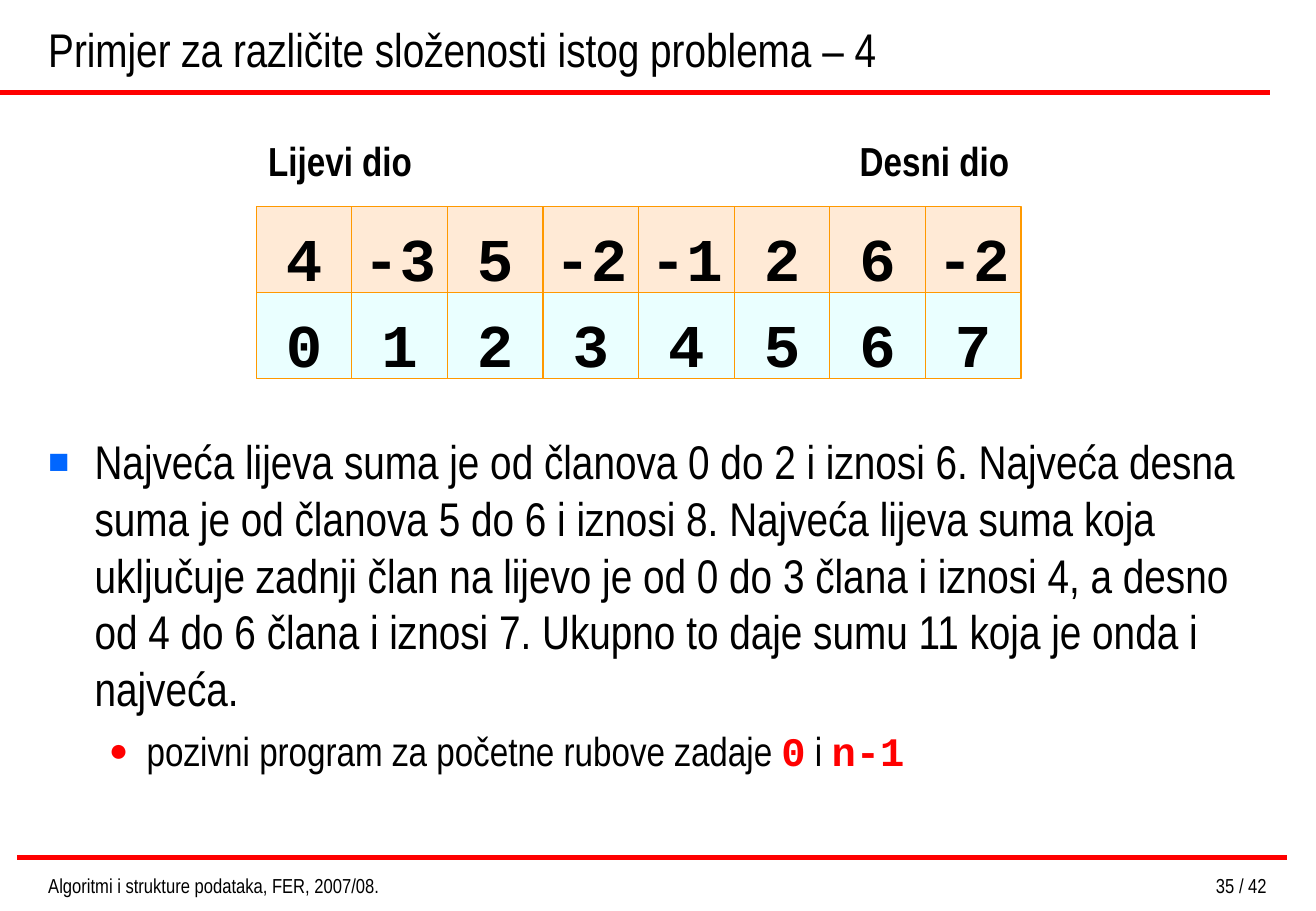
"""Builds the slide on the left and right sums of an array."""
from lxml.etree import SubElement
from pptx import Presentation
from pptx.dml.color import RGBColor
from pptx.enum.shapes import MSO_CONNECTOR as Connector, MSO_SHAPE as Shape
from pptx.enum.text import MSO_ANCHOR as Anchor, PP_ALIGN as Align
from pptx.oxml.ns import qn
from pptx.util import Cm, Pt

COLORS = {
    "text": "000000",
    "accent": "FF0000",
    "square_bullet": "0066FF",
    "value_cell": "FFCC99",
    "index_cell": "CCFFFF",
    "cell_border": "FF9900",
}
BODY_FONT = "Arial Narrow"
CODE_FONT = "Courier New"
VALUES = [4, -3, 5, -2, -1, 2, 6, -2]
CELL_WIDTH, CELL_HEIGHT = 2, 1.8
ARRAY_LEFT, ARRAY_TOP = 5.36, 4.32
LABEL_TOP, LABEL_HEIGHT = 2.72, 1.27
FOOTER_TOP, FOOTER_HEIGHT = 18.14, 0.61
SUMS = (
    "Najveća lijeva suma je od članova 0 do 2 i iznosi 6. "
    "Najveća desna suma je od članova 5 do 6 i iznosi 8. "
    "Najveća lijeva suma koja uključuje zadnji član na lijevo je od 0 do 3 člana "
    "i iznosi 4, a desno od 4 do 6 člana i iznosi 7. "
    "Ukupno to daje sumu 11 koja je onda i najveća."
)


def rgb(name):
    return RGBColor.from_string(COLORS[name])


def write(paragraph, text, size=24, font=BODY_FONT, color="text", bold=False, align=Align.LEFT):
    paragraph.alignment = align
    run = paragraph.add_run()
    run.text = text
    run.font.size = Pt(size)
    run.font.name = font
    run.font.bold = bold
    run.font.color.rgb = rgb(color)


def add_frame(slide, left, top, width, height, anchor=Anchor.TOP):
    box = slide.shapes.add_textbox(Cm(left), Cm(top), Cm(width), Cm(height))
    frame = box.text_frame
    frame.word_wrap = True
    frame.vertical_anchor = anchor
    return frame


def add_rule(slide, left, right, y):
    rule = slide.shapes.add_connector(Connector.STRAIGHT, Cm(left), Cm(y), Cm(right), Cm(y))
    rule.line.color.rgb = rgb("accent")
    rule.line.width = Pt(3)
    SubElement(rule._element.spPr, qn("a:effectLst"))


def add_cell(slide, column, row, number, fill):
    cell = slide.shapes.add_shape(
        Shape.RECTANGLE,
        Cm(ARRAY_LEFT + column * CELL_WIDTH), Cm(ARRAY_TOP + row * CELL_HEIGHT),
        Cm(CELL_WIDTH), Cm(CELL_HEIGHT),
    )
    cell.shadow.inherit = False
    cell.fill.solid()
    cell.fill.fore_color.rgb = rgb(fill)
    tint = cell._element.spPr.find(qn("a:solidFill"))[0]
    SubElement(tint, qn("a:alpha"), val="40000")
    cell.line.color.rgb = rgb("cell_border")
    cell.line.width = Pt(0.75)
    frame = cell.text_frame
    frame.word_wrap = False
    frame.vertical_anchor = Anchor.MIDDLE
    frame.margin_top = Cm(0.44)
    write(frame.paragraphs[0], str(number), size=36, font=CODE_FONT, bold=True, align=Align.CENTER)


def set_bullet(paragraph, char, color, percent, margin, hanging):
    properties = paragraph._p.get_or_add_pPr()
    properties.set("marL", str(Cm(margin)))
    properties.set("indent", str(-Cm(hanging)))
    bullet_color = SubElement(properties, qn("a:buClr"))
    SubElement(bullet_color, qn("a:srgbClr"), val=COLORS[color])
    SubElement(properties, qn("a:buSzPct"), val=str(percent * 1000))
    SubElement(properties, qn("a:buFont"), typeface="Arial")
    SubElement(properties, qn("a:buChar"), char=char)


def add_array(slide):
    for column, value in enumerate(VALUES):
        add_cell(slide, column, 0, value, "value_cell")
        add_cell(slide, column, 1, column, "index_cell")
    half = len(VALUES) // 2 * CELL_WIDTH
    for part, (label, align) in enumerate([("Lijevi dio", Align.LEFT), ("Desni dio", Align.RIGHT)]):
        heading = add_frame(slide, ARRAY_LEFT + part * half, LABEL_TOP, half, LABEL_HEIGHT)
        write(heading.paragraphs[0], label, bold=True, align=align)


def add_explanation(slide):
    body = add_frame(slide, 0.76, 8.92, 26, 8.6)
    sums = body.paragraphs[0]
    set_bullet(sums, "■", "square_bullet", 75, margin=0.97, hanging=0.97)
    write(sums, SUMS, size=28)
    call = body.add_paragraph()
    call.level = 1
    set_bullet(call, "●", "accent", 80, margin=2.06, hanging=0.79)
    call.space_before = Pt(6)
    code = {"font": CODE_FONT, "color": "accent", "bold": True}
    write(call, "pozivni program za početne rubove zadaje ")
    write(call, "0", **code)
    write(call, " i ")
    write(call, "n-1", **code)


def main():
    deck = Presentation()
    deck.slide_width, deck.slide_height = Cm(27.53), Cm(19.05)
    slide = deck.slides.add_slide(deck.slide_layouts[6])
    add_rule(slide, 0, 26.57, 1.93)
    add_rule(slide, 0.36, 26.92, 17.93)
    title = add_frame(slide, 0.76, 0, 25.8, 1.73, anchor=Anchor.BOTTOM)
    write(title.paragraphs[0], "Primjer za različite složenosti istog problema – 4", size=28)
    add_explanation(slide)
    add_array(slide)
    course = add_frame(slide, 0.76, FOOTER_TOP, 9.6, FOOTER_HEIGHT)
    write(course.paragraphs[0], "Algoritmi i strukture podataka, FER, 2007/08.", size=12)
    page = add_frame(slide, 19.71, FOOTER_TOP, 7.04, FOOTER_HEIGHT)
    write(page.paragraphs[0], "35 / 42", size=12, align=Align.RIGHT)
    deck.save("out.pptx")


if __name__ == "__main__":
    main()
